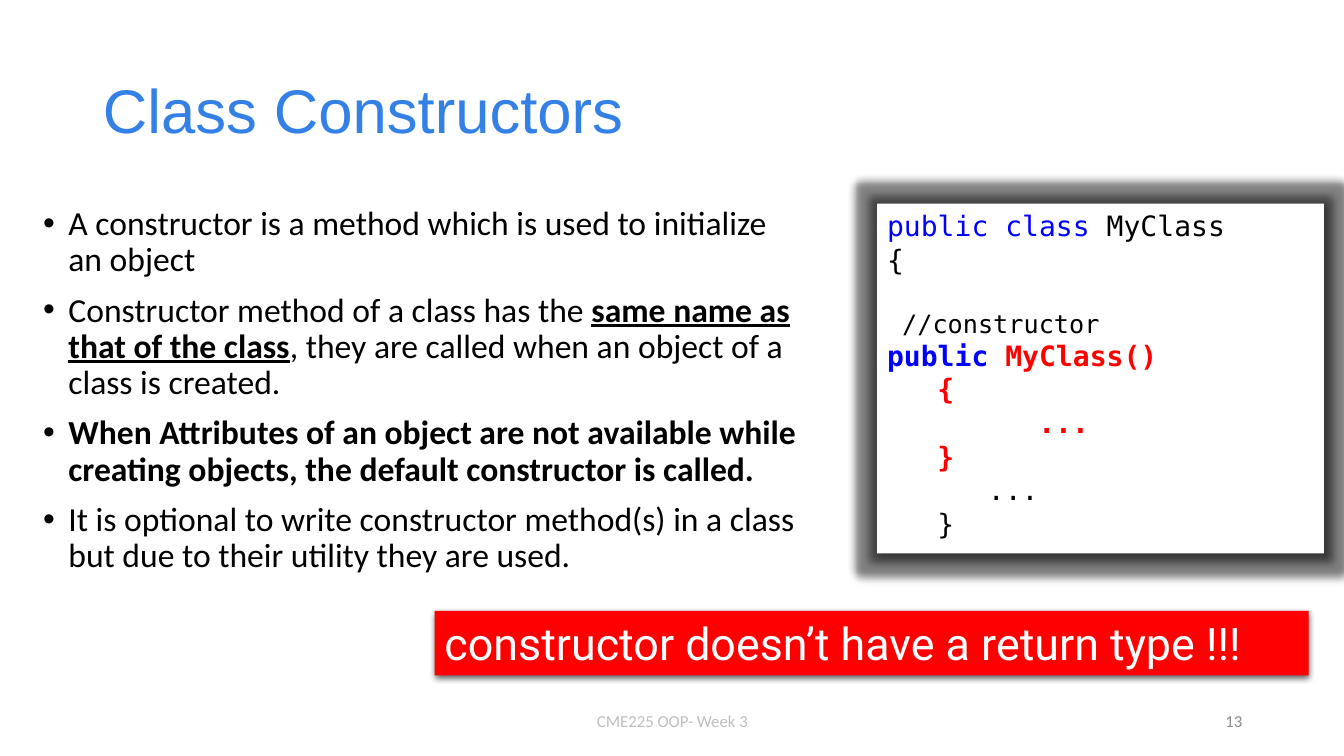
from lxml import etree
from pptx import Presentation
from pptx import util as u
from pptx.dml.color import RGBColor
from pptx.enum import shapes, text
from pptx.oxml import ns

BLACK = RGBColor(0, 0, 0)
WHITE = RGBColor(255, 255, 255)
RED = RGBColor(255, 0, 0)
BLUE = RGBColor(0, 0, 255)
SKY = RGBColor(0x33, 0x80, 0xE6)
GREY = RGBColor(0x8C, 0x8C, 0x8C)
PALE = RGBColor(0xBF, 0xBF, 0xBF)
SANS, MONO = "Calibri", "DejaVu Sans Mono"
LEFT, MID, RIGHT = text.PP_ALIGN.LEFT, text.PP_ALIGN.CENTER, text.PP_ALIGN.RIGHT


def px(n):
    return u.Emu(n * 9144)


def node(up, tag, **attrs):
    return etree.SubElement(up, ns.qn(tag), attrs)


class Deck:
    """Holds the style and the current slide, and draws each kind of element."""

    def __init__(self):
        self.prs = Presentation()
        self.prs.slide_width, self.prs.slide_height = px(1333), px(750)
        self.slide = self.prs.slides.add_slide(self.prs.slide_layouts[5])

    def style(self, run, size, font, color, bold=False, under=False):
        run.font.size, run.font.name = u.Pt(size), font
        run.font.color.rgb = color
        run.font.bold, run.font.underline = bold, under

    def title(self, box, words):
        shape = self.slide.shapes.title
        shape.left, shape.top, shape.width, shape.height = map(px, box)
        frame = shape.text_frame
        frame.text = words
        frame.vertical_anchor = text.MSO_ANCHOR.MIDDLE
        para = frame.paragraphs[0]
        para.alignment, para.line_spacing = LEFT, 0.9
        self.style(para.runs[0], 44, "Arial", SKY)

    def label(self, box, words, color, align):
        frame = self.slide.shapes.add_textbox(*map(px, box)).text_frame
        frame.word_wrap = True
        frame.vertical_anchor = text.MSO_ANCHOR.MIDDLE
        frame.text = words
        para = frame.paragraphs[0]
        para.alignment = align
        self.style(para.runs[0], 12, SANS, color)

    def panel(self, box, fill):
        shape = self.slide.shapes.add_shape(shapes.MSO_SHAPE.RECTANGLE, *map(px, box))
        shape.shadow.inherit = False
        shape.fill.solid()
        shape.fill.fore_color.rgb = fill
        shape.line.fill.background()
        shape.text_frame.word_wrap = True
        shape.text_frame.vertical_anchor = text.MSO_ANCHOR.TOP
        return shape

    def tint(self, up, alpha):
        color = node(up, "a:srgbClr", val=str(BLACK))
        node(color, "a:alpha", val=str(alpha * 1000))

    def glow(self, shape, size, alpha):
        effects = shape._element.spPr.find(ns.qn("a:effectLst"))
        self.tint(node(effects, "a:glow", rad=str(u.Pt(size))), alpha)

    def shade(self, shape, alpha, blur, dist, angle):
        effects = shape._element.spPr.find(ns.qn("a:effectLst"))
        shadow = node(effects, "a:outerShdw", blurRad=str(u.Pt(blur)),
                      dist=str(u.Pt(dist)), dir=str(angle * 60000), rotWithShape="0")
        self.tint(shadow, alpha)

    def line(self, frame, first, size, font, *runs):
        para = frame.paragraphs[0] if first else frame.add_paragraph()
        para.alignment = LEFT
        for words, *look in runs:
            run = para.add_run()
            run.text = words
            self.style(run, size, font, *look)
        return para

    def indent(self, para, left, hang=0):
        props = para._p.get_or_add_pPr()
        props.set("marL", str(px(left)))
        props.set("indent", str(px(-hang)))
        return props

    def bullets(self, box, items):
        frame = self.panel(box, WHITE).text_frame
        for i, runs in enumerate(items):
            para = self.line(frame, i == 0, 24, SANS, *runs)
            para.line_spacing, para.space_before = 0.9, u.Pt(10)
            props = self.indent(para, 25, 25)
            node(props, "a:buFont", typeface="Arial")
            node(props, "a:buChar", char="•")

    def code(self, box, rows):
        shape = self.panel(box, WHITE)
        self.glow(shape, 11, 40)
        self.shade(shape, 40, 4, 3, 45)
        for i, (left, size, gap, *runs) in enumerate(rows):
            para = self.line(shape.text_frame, i == 0, size, MONO, *runs)
            para.space_before = u.Pt(gap)
            self.indent(para, left)

    def banner(self, box, words):
        shape = self.panel(box, RED)
        self.shade(shape, 63, 4.5, 1.5, 90)
        self.line(shape.text_frame, True, 32, "Roboto", (words, WHITE))


def main():
    deck = Deck()
    deck.title((92, 40, 1150, 145), "Class Constructors")
    deck.bullets((33, 200, 775, 476), [
        [("A constructor is a method which is used to initialize an object", BLACK)],
        [("Constructor method of a class has the ", BLACK),
         ("same name as that of the class", BLACK, True, True),
         (", they are called when an object of a class is created.", BLACK)],
        [("When Attributes of an object are not available while creating objects, "
          "the default constructor is called.", BLACK, True)],
        [("It is optional to write constructor method(s) in a class "
          "but due to their utility they are used.", BLACK)],
    ])
    deck.label((942, 695, 300, 40), "13", GREY, RIGHT)
    deck.code((870, 202, 443, 347), [
        (0, 20, 0, ("public class", BLUE), (" MyClass", BLACK)),
        (0, 20, 0, ("{", BLACK)),
        (15, 18, 23, ("//constructor", BLACK)),
        (0, 20, 0, ("public", BLUE, True), (" MyClass()", RED, True)),
        (50, 20, 0, ("{", RED, True)),
        (150, 20, 0, ("...", RED, True)),
        (50, 20, 0, ("}", RED, True)),
        (100, 20, 0, ("...", BLACK)),
        (50, 20, 0, ("}", BLACK)),
    ])
    deck.banner((431, 606, 867, 64), "constructor doesn’t have a return type !!!")
    deck.label((442, 695, 450, 40), "CME225 OOP- Week 3", PALE, MID)
    deck.prs.save("out.pptx")


if __name__ == "__main__":
    main()
